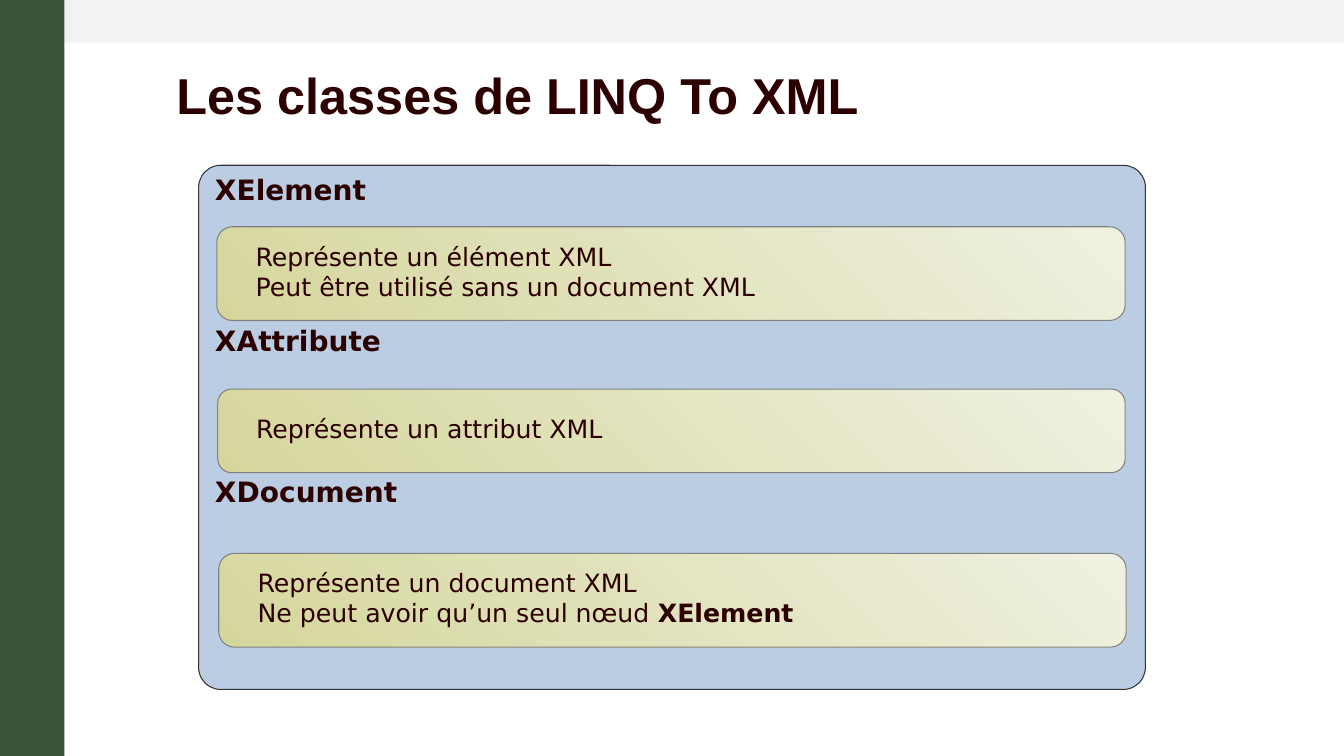
from pptx import Presentation
from pptx.dml.color import RGBColor
from pptx.enum.shapes import MSO_SHAPE
from pptx.enum.text import MSO_ANCHOR, PP_ALIGN
from pptx.util import Inches, Pt

RECTANGLE = MSO_SHAPE.RECTANGLE
ROUNDED = MSO_SHAPE.ROUNDED_RECTANGLE
TOP, MIDDLE, BOTTOM = MSO_ANCHOR.TOP, MSO_ANCHOR.MIDDLE, MSO_ANCHOR.BOTTOM
LEFT = PP_ALIGN.LEFT
INK = "2C0000"


def color(value):
    return RGBColor.from_string(value)


def add_box(kind, box, fill=None, line=None):
    shape = slide.shapes.add_shape(kind, *[Inches(length) for length in box])
    shape.shadow.inherit = False
    if fill:
        shape.fill.solid()
        shape.fill.fore_color.rgb = color(fill)
    if line:
        shape.line.color.rgb = color(line)
        shape.line.width = Pt(0.75)
    else:
        shape.line.fill.background()
    return shape


presentation = Presentation()
presentation.slide_width = Inches(13.33)
presentation.slide_height = Inches(7.5)
slide = presentation.slides.add_slide(presentation.slide_layouts[6])

add_box(RECTANGLE, (0.64, 0, 12.69, 0.42), "F2F2F2")
add_box(RECTANGLE, (0, 0, 0.64, 7.5), "385438")

title = slide.shapes.add_textbox(Inches(1.63), Inches(0.66), Inches(11.37), Inches(0.7))
title_frame = title.text_frame
title_frame.word_wrap = True
title_frame.vertical_anchor = BOTTOM
title_frame.margin_left = title_frame.margin_top = title_frame.margin_bottom = Inches(0.12)
title_frame.margin_right = 0
title_frame.text = "Les classes de LINQ To XML"
title_paragraph = title_frame.paragraphs[0]
title_paragraph.line_spacing = Pt(33.3)
title_font = title_paragraph.runs[0].font
title_font.name = "Arial"
title_font.size = Pt(36)
title_font.bold = True
title_font.color.rgb = color(INK)

panel = add_box(ROUNDED, (1.97, 1.64, 9.39, 5.2), "BBCDE3", "333333")
panel.adjustments[0] = 0.042
panel.text_frame.text = "XElement\nXAttribute\nXDocument"
panel.text_frame.vertical_anchor = TOP
for index, paragraph in enumerate(panel.text_frame.paragraphs):
    paragraph.alignment = LEFT
    paragraph.line_spacing = 0.9
    paragraph.space_before = Pt(86 if index else 0)
    font = paragraph.runs[0].font
    font.name = "DejaVu Sans"
    font.size = Pt(20)
    font.bold = True
    font.color.rgb = color(INK)

descriptions = [
    ((2.15, 2.25, 9.01, 0.93),
     [["Représente un élément XML"], ["Peut être utilisé sans un document XML"]]),
    ((2.16, 3.86, 9, 0.83), [["Représente un attribut XML"]]),
    ((2.17, 5.49, 9, 0.93),
     [["Représente un document XML"], ["Ne peut avoir qu’un seul nœud ", "XElement"]]),
]
for box, lines in descriptions:
    card = add_box(ROUNDED, box, line="808080")
    card.adjustments[0] = 0.167
    card.fill.gradient()
    card.fill.gradient_angle = 45
    for stop, shade in zip(card.fill.gradient_stops, ("D5D69C", "F0F1E1")):
        stop.color.rgb = color(shade)
    text_frame = card.text_frame
    text_frame.vertical_anchor = MIDDLE
    text_frame.margin_left = Inches(0.34)
    text_frame.margin_right = Inches(0.1)
    text_frame.margin_top = 0
    text_frame.margin_bottom = Inches(0.05)
    text_frame.text = "\n".join(parts[0] for parts in lines)
    for paragraph, parts in zip(text_frame.paragraphs, lines):
        paragraph.alignment = LEFT
        for part in parts[1:]:
            run = paragraph.add_run()
            run.text = part
            run.font.bold = True
        for run in paragraph.runs:
            run.font.name = "DejaVu Sans"
            run.font.size = Pt(18)
            run.font.color.rgb = color(INK)

presentation.save("out.pptx")
